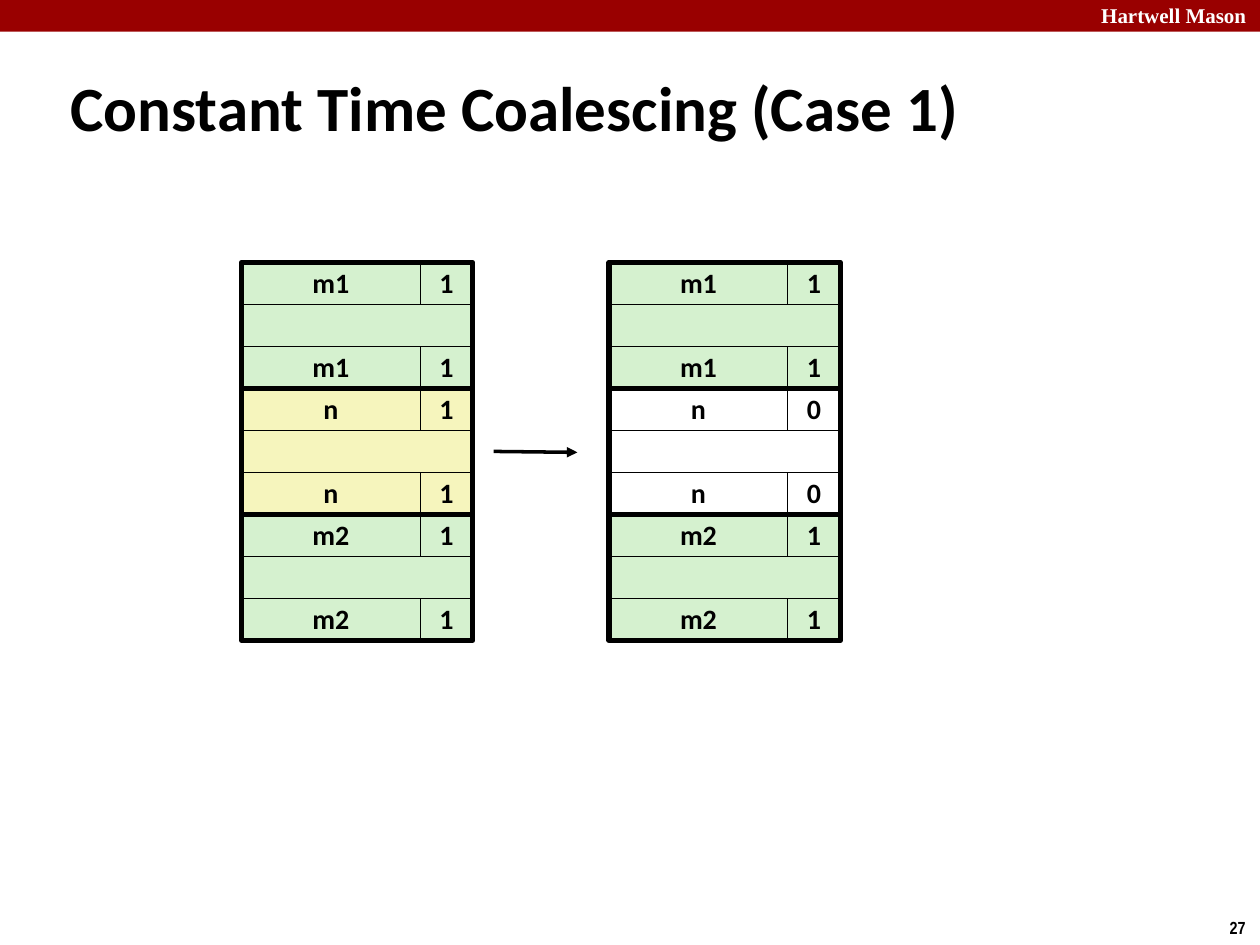
from lxml import etree
from pptx import Presentation
from pptx.dml.color import RGBColor
from pptx.enum.shapes import MSO_CONNECTOR, MSO_SHAPE
from pptx.enum.text import MSO_ANCHOR, PP_ALIGN
from pptx.oxml.ns import qn
from pptx.util import Cm, Pt

RECT = MSO_SHAPE.RECTANGLE
LINE = MSO_CONNECTOR.STRAIGHT
MID = MSO_ANCHOR.MIDDLE
LEFT, MIDDLE = PP_ALIGN.LEFT, PP_ALIGN.CENTER
BLACK, WHITE, RED = "000000", "FFFFFF", "990000"
GREEN, YELLOW = "D5F1CF", "F6F5BD"


def color(code):
    return RGBColor.from_string(code)


class Deck:
    font = "Calibri"
    thin, thick = 0.26, 3

    def __init__(self, slide):
        self.slide = slide
        self.shapes = slide.shapes

    def put(self, frame, text, size, align=LEFT, font=font, ink=BLACK):
        para = frame.paragraphs[0]
        para.alignment = align
        run = para.add_run()
        run.text = text
        run.font.size = Pt(size)
        run.font.name = font
        run.font.bold = True
        run.font.color.rgb = color(ink)
        return para

    def title(self, text, x, y, w, h):
        shape = self.shapes.title
        shape.left, shape.top, shape.width, shape.height = map(Cm, (x, y, w, h))
        shape.text_frame.vertical_anchor = MID
        self.put(shape.text_frame, text, 36)

    def label(self, text, x, y, w, h, size, font, ink=BLACK, wrap=True):
        box = self.shapes.add_textbox(Cm(x), Cm(y), Cm(w), Cm(h))
        box.text_frame.word_wrap = wrap
        self.put(box.text_frame, text, size, font=font, ink=ink)

    def rect(self, x, y, w, h, fill=None, line=None, text=None):
        shape = self.shapes.add_shape(RECT, Cm(x), Cm(y), Cm(w), Cm(h))
        shape.shadow.inherit = False
        if fill:
            shape.fill.solid()
            shape.fill.fore_color.rgb = color(fill)
        else:
            shape.fill.background()
        if line:
            shape.line.color.rgb = color(BLACK)
            shape.line.width = Pt(line)
        else:
            shape.line.fill.background()
        if text:
            frame = shape.text_frame
            frame.word_wrap = False
            frame.vertical_anchor = MID
            self.put(frame, text, 16, MIDDLE).line_spacing = 0.98

    def arrow(self, x1, y1, x2, y2):
        link = self.shapes.add_connector(LINE, Cm(x1), Cm(y1), Cm(x2), Cm(y2))
        link.line.color.rgb = color(BLACK)
        link.line.width = Pt(2)
        props = link.element.spPr
        etree.SubElement(props.find(qn("a:ln")), qn("a:tailEnd"), type="triangle")
        etree.SubElement(props, qn("a:effectLst"))

    def block(self, x, y, name, flag, fill):
        wide, slim, row = 3.6, 1.06, 2.54 / 3
        for top in (y, y + 2 * row):
            self.rect(x, top, wide, row, fill, self.thin, name)
            self.rect(x + wide, top, slim, row, fill, self.thin, flag)
        self.rect(x, y + row, wide + slim, row, fill, self.thin)
        self.rect(x, y, wide + slim, 3 * row, line=self.thick)


prs = Presentation()
prs.slide_width, prs.slide_height = Cm(25.4), Cm(19.05)
deck = Deck(prs.slides.add_slide(prs.slide_layouts[5]))

deck.rect(0, 0, 25.4, 0.64, RED)
deck.label("Hartwell Mason", 21.95, -0.08, 3.63, 0.76, 12, "Times New Roman", WHITE)
deck.label("27", 24.54, 18.36, 0.86, 0.69, 10, "Arial Narrow", wrap=False)
deck.title("Constant Time Coalescing (Case 1)", 1.17, 1.35, 23.06, 1.6)

heaps = [
    (4.87, [("m1", "1", GREEN), ("n", "1", YELLOW), ("m2", "1", GREEN)]),
    (12.28, [("m1", "1", GREEN), ("n", "0", WHITE), ("m2", "1", GREEN)]),
]
for left, blocks in heaps:
    for i, (name, flag, fill) in enumerate(blocks):
        deck.block(left, 5.29 + i * 2.54, name, flag, fill)
deck.arrow(9.95, 9.1, 11.64, 9.12)

prs.save("out.pptx")
